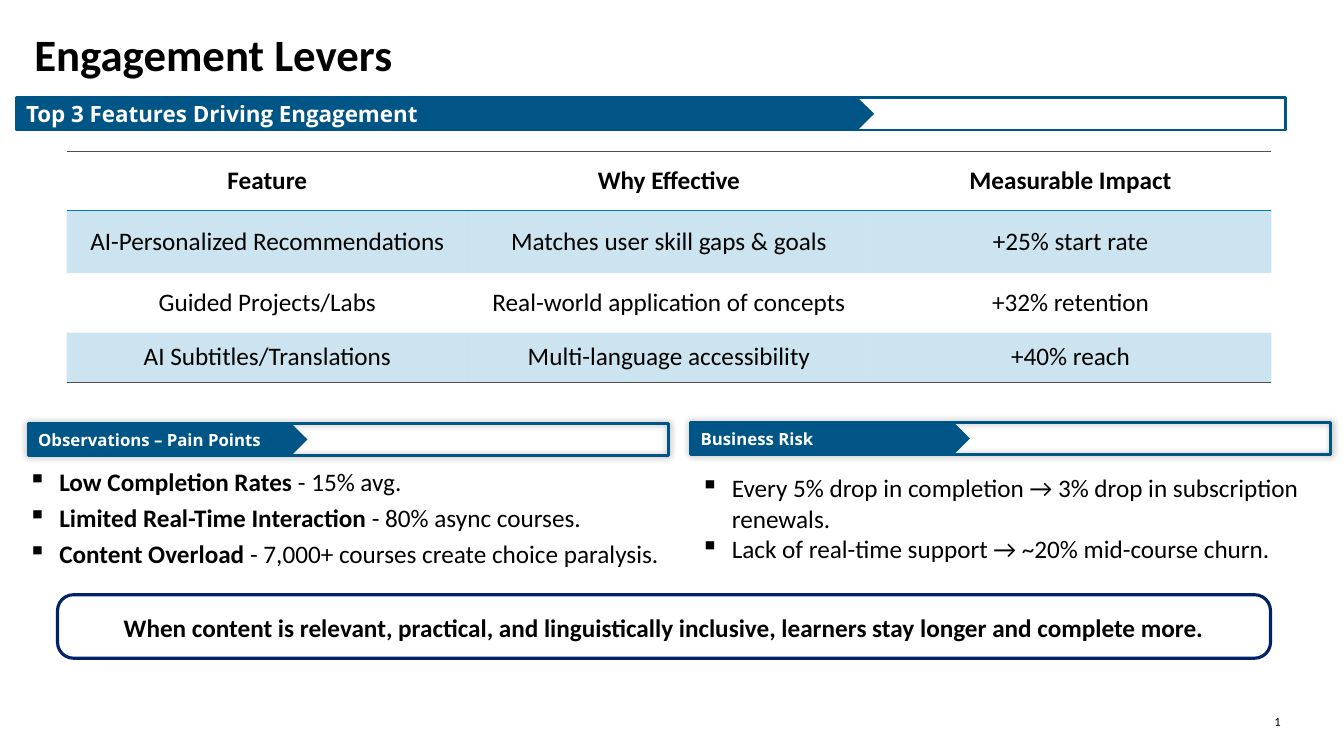
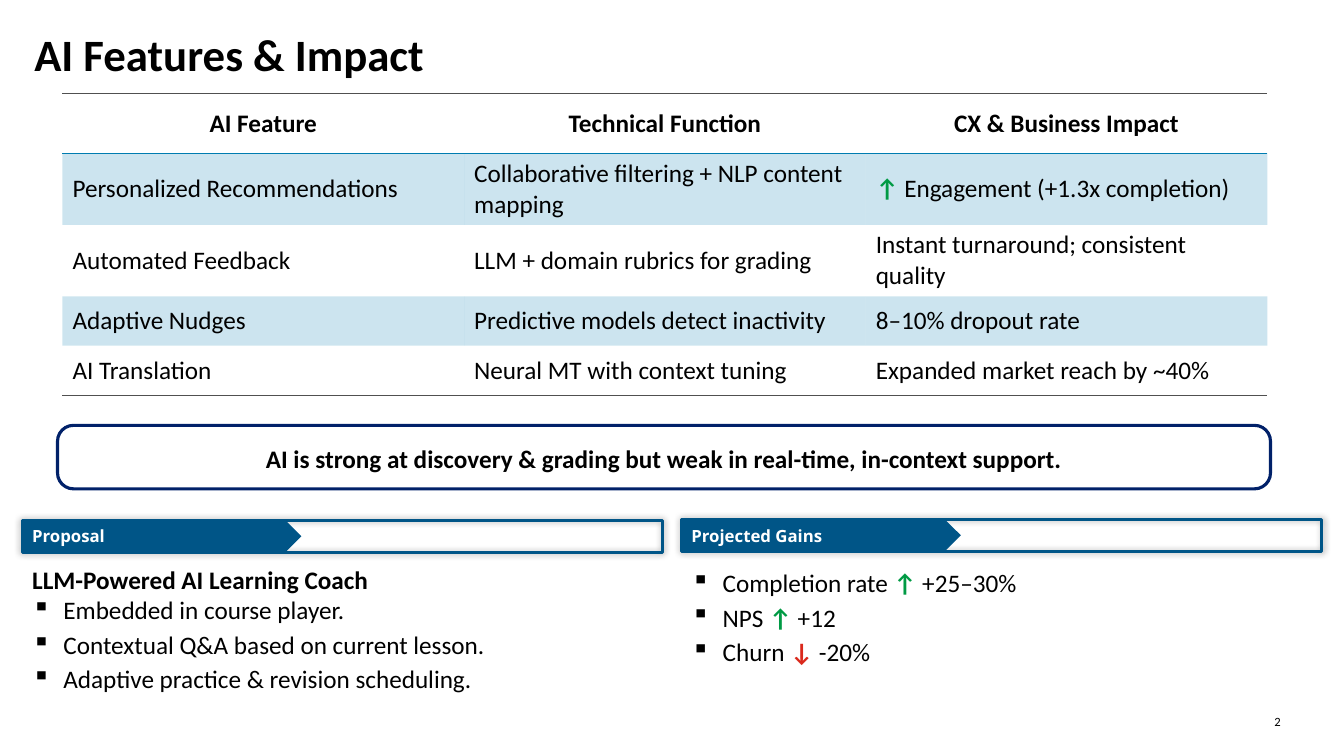
from typing import NamedTuple

from pptx import Presentation
from pptx.dml.color import RGBColor
from pptx.enum.shapes import MSO_SHAPE
from pptx.enum.text import MSO_ANCHOR, MSO_AUTO_SIZE, PP_ALIGN
from pptx.oxml import parse_xml
from pptx.oxml.ns import nsdecls, qn
from pptx.util import Inches, Pt

# Shared look
BLACK = RGBColor(0x00, 0x00, 0x00)
WHITE = RGBColor(0xFF, 0xFF, 0xFF)
BAND_BLUE = RGBColor(0x00, 0x55, 0x87)
TABLE_BLUE = RGBColor(0x00, 0x7C, 0xB0)
RULE_GREY = RGBColor(0x50, 0x50, 0x50)
NAVY = RGBColor(0x01, 0x21, 0x69)
GREEN = RGBColor(0x00, 0x9A, 0x44)
RED = RGBColor(0xDA, 0x29, 0x1C)
BODY_FONT = "Calibri"
BAND_FONT = "Open Sans"
PLAIN_TABLE_STYLE = "{2D5ABB26-0587-4C30-8999-92F81FD0307C}"

SLIDE_WIDTH = Inches(13.33)
SLIDE_HEIGHT = Inches(7.5)

# Shares of the slide's size, in percent
TABLE_WIDTH = 89.65
BAND_HEIGHT = 4.27
HALF_BAND_WIDTH = 47.64
HALF_ARROW_WIDTH = 20.78


def across(percent: float) -> int:
    return round(SLIDE_WIDTH * percent / 100)


def down(percent: float) -> int:
    return round(SLIDE_HEIGHT * percent / 100)


class Box(NamedTuple):
    left: float
    top: float
    width: float
    height: float

    def lengths(self) -> tuple[int, int, int, int]:
        return across(self.left), down(self.top), across(self.width), down(self.height)


class Span(NamedTuple):
    text: str
    bold: bool = False
    color: RGBColor = BLACK


class Line(NamedTuple):
    spans: list[Span]
    bulleted: bool = True


class Band(NamedTuple):
    label: str
    left: float
    top: float
    width: float = HALF_BAND_WIDTH
    arrow_width: float = HALF_ARROW_WIDTH
    size: int = 12
    shadow: bool = True


class Grid(NamedTuple):
    left: float
    top: float
    row_heights: list[float]
    rows: list[list]
    body_alignment: PP_ALIGN


class TextBlock(NamedTuple):
    box: Box
    lines: list[Line]
    space_after: float = 0


class SlideContent(NamedTuple):
    title: str
    number: int
    bands: list[Band]
    grid: Grid
    message: str
    message_top: float
    blocks: list[TextBlock]


UP = Span("↑", True, GREEN)
DOWN = Span("↓", True, RED)


# Text
def set_font(paragraph, size: float, bold: bool | None = None,
             color: RGBColor | None = BLACK, name: str = BODY_FONT) -> None:
    font = paragraph.font
    font.name, font.size, font.bold = name, Pt(size), bold
    if color is not None:
        font.color.rgb = color


def write_spans(paragraph, spans: list[Span], size: float = 18) -> None:
    uniform = len({(span.bold, span.color) for span in spans}) == 1
    if uniform:
        set_font(paragraph, size, spans[0].bold, spans[0].color)
    else:
        set_font(paragraph, size, color=None)
    for span in spans:
        run = paragraph.add_run()
        run.text = span.text
        if not uniform:
            run.font.bold = span.bold
            run.font.color.rgb = span.color


def add_bullet(paragraph) -> None:
    properties = paragraph._p.get_or_add_pPr()
    properties.set("marL", str(Inches(0.31)))
    properties.set("indent", str(-Inches(0.31)))
    properties.append(parse_xml(f'<a:buChar {nsdecls("a")} char="▪"/>'))


def add_text_block(slide, block: TextBlock) -> None:
    frame = slide.shapes.add_textbox(*block.box.lengths()).text_frame
    frame.word_wrap = True
    for index, line in enumerate(block.lines):
        paragraph = frame.add_paragraph() if index else frame.paragraphs[0]
        if line.bulleted:
            paragraph.space_after = Pt(block.space_after)
            add_bullet(paragraph)
        write_spans(paragraph, line.spans)


def clear_margins(frame) -> None:
    frame.margin_left = frame.margin_right = frame.margin_top = frame.margin_bottom = 0


def format_title(slide, text: str) -> None:
    title = slide.shapes.title
    title.left, title.top, title.width, title.height = Box(2.55, 3.47, 86.27, 8.8).lengths()
    frame = title.text_frame
    clear_margins(frame)
    frame.auto_size = MSO_AUTO_SIZE.NONE
    frame.vertical_anchor = MSO_ANCHOR.TOP
    frame.text = text
    paragraph = frame.paragraphs[0]
    paragraph.alignment = PP_ALIGN.LEFT
    set_font(paragraph, 32, True)


def add_slide_number(slide, number: int) -> None:
    frame = slide.shapes.add_textbox(*Box(94.82, 94.4, 1.13, 2).lengths()).text_frame
    clear_margins(frame)
    frame.word_wrap = False
    paragraph = frame.paragraphs[0]
    set_font(paragraph, 9)
    paragraph._p.append(parse_xml(
        f'<a:fld {nsdecls("a")} id="{{B6F15528-21DE-4FAA-801E-634DDDAF4B2B}}" '
        f'type="slidenum"><a:rPr lang="en-US"/><a:t>{number}</a:t></a:fld>'))


# Shapes
def add_band(slide, band: Band) -> None:
    group = slide.shapes.add_group_shape()
    frame_box = Box(band.left, band.top, band.width, BAND_HEIGHT)
    outline = group.shapes.add_shape(MSO_SHAPE.RECTANGLE, *frame_box.lengths())
    outline.fill.background()
    outline.line.color.rgb = BAND_BLUE
    outline.line.width = Pt(2)
    outline.shadow.inherit = False
    if band.shadow:
        effects = outline._element.spPr.find(qn("a:effectLst"))
        effects.append(parse_xml(
            f'<a:outerShdw {nsdecls("a")} blurRad="{Pt(5)}" dist="0" dir="0">'
            '<a:srgbClr val="000000"><a:alpha val="40000"/></a:srgbClr></a:outerShdw>'))

    arrow_box = frame_box._replace(width=band.arrow_width)
    arrow = group.shapes.add_shape(MSO_SHAPE.PENTAGON, *arrow_box.lengths())
    arrow.fill.solid()
    arrow.fill.fore_color.rgb = BAND_BLUE
    arrow.line.fill.background()
    arrow.shadow.inherit = False
    frame = arrow.text_frame
    frame.text = band.label
    frame.vertical_anchor = MSO_ANCHOR.MIDDLE
    frame.paragraphs[0].alignment = PP_ALIGN.LEFT
    set_font(frame.paragraphs[0], band.size, True, WHITE, BAND_FONT)


def add_message(slide, text: str, top: float) -> None:
    box = Box(4.28, top, 90.25, 8.4)
    shape = slide.shapes.add_shape(MSO_SHAPE.ROUNDED_RECTANGLE, *box.lengths())
    shape.adjustments[0] = 0.25
    shape.fill.solid()
    shape.fill.fore_color.rgb = WHITE
    shape.line.color.rgb = NAVY
    shape.line.width = Pt(2.25)
    shape.shadow.inherit = False
    frame = shape.text_frame
    frame.margin_top = frame.margin_bottom = Inches(0.1)
    frame.vertical_anchor = MSO_ANCHOR.MIDDLE
    frame.text = text
    paragraph = frame.paragraphs[0]
    paragraph.alignment = PP_ALIGN.CENTER
    paragraph.line_spacing = 1.06
    set_font(paragraph, 18, True)


# Table
def add_border(cell, side: str, color: RGBColor, width: float) -> None:
    cell._tc.get_or_add_tcPr().append(parse_xml(
        f'<a:{side} {nsdecls("a")} w="{Pt(width)}"><a:solidFill>'
        f'<a:srgbClr val="{color}"/></a:solidFill></a:{side}>'))


def fill_cell(cell, banded: bool) -> None:
    if not banded:
        cell.fill.background()
        return
    cell.fill.solid()
    cell.fill.fore_color.rgb = TABLE_BLUE
    color = cell._tc.tcPr.find(".//" + qn("a:solidFill") + "[last()]/" + qn("a:srgbClr"))
    fill = cell._tc.tcPr.find(qn("a:solidFill"))
    color = fill.find(qn("a:srgbClr"))
    color.append(parse_xml(f'<a:alpha {nsdecls("a")} val="20000"/>'))


def add_grid(slide, grid: Grid) -> None:
    box = Box(grid.left, grid.top, TABLE_WIDTH, sum(grid.row_heights))
    last = len(grid.rows) - 1
    table = slide.shapes.add_table(last + 1, len(grid.rows[0]), *box.lengths()).table
    table.first_row = table.horz_banding = False
    table._tbl.tblPr.find(qn("a:tableStyleId")).text = PLAIN_TABLE_STYLE
    for row_index, values in enumerate(grid.rows):
        header = row_index == 0
        table.rows[row_index].height = down(grid.row_heights[row_index])
        for column_index, value in enumerate(values):
            cell = table.cell(row_index, column_index)
            cell.vertical_anchor = MSO_ANCHOR.MIDDLE
            paragraph = cell.text_frame.paragraphs[0]
            paragraph.alignment = PP_ALIGN.CENTER if header else grid.body_alignment
            write_spans(paragraph, [Span(value, header)] if isinstance(value, str) else value)
            if header:
                add_border(cell, "lnT", RULE_GREY, 0.75)
                add_border(cell, "lnB", TABLE_BLUE, 1)
            elif row_index == last:
                add_border(cell, "lnB", RULE_GREY, 0.75)
            fill_cell(cell, row_index % 2 == 1)


# Content
SLIDES = [
    SlideContent(
        "Engagement Levers", 5,
        [Band("Top 3 Features Driving Engagement", 1.2, 12.93, 94.45, 63.84, 16, False),
         Band("Observations – Pain Points", 2.1, 56),
         Band("Business Risk", 51.39, 55.87)],
        Grid(4.95, 20, [7.87, 8.27, 7.87, 6.53], [
            ["Feature", "Why Effective", "Measurable Impact"],
            ["AI-Personalized Recommendations", "Matches user skill gaps & goals", "+25% start rate"],
            ["Guided Projects/Labs", "Real-world application of concepts", "+32% retention"],
            ["AI Subtitles/Translations", "Multi-language accessibility", "+40% reach"],
        ], PP_ALIGN.CENTER),
        "When content is relevant, practical, and linguistically inclusive, "
        "learners stay longer and complete more.", 78.67,
        [TextBlock(Box(1.35, 61.07, 49.96, 14.93), [
            Line([Span("Low Completion Rates", True), Span(" - 15% avg.")]),
            Line([Span("Limited Real-Time Interaction", True), Span(" - 80% async courses.")]),
            Line([Span("Content Overload", True),
                  Span(" - 7,000+ courses create choice paralysis.")]),
        ], 4),
         TextBlock(Box(51.39, 61.87, 48, 13.47), [
             Line([Span("Every 5% drop in completion → 3% drop in subscription renewals.")]),
             Line([Span("Lack of real-time support → ~20% mid-course churn.")]),
         ])]),
    SlideContent(
        "AI Features & Impact", 6,
        [Band("Proposal", 1.65, 68.8), Band("Projected Gains", 50.71, 68.67)],
        Grid(4.65, 12.4, [7.87, 9.47, 9.47, 6.53, 6.53], [
            ["AI Feature", "Technical Function", "CX & Business Impact"],
            ["Personalized Recommendations", "Collaborative filtering + NLP content mapping",
             [UP, Span(" Engagement (+1.3x completion)")]],
            ["Automated Feedback", "LLM + domain rubrics for grading",
             "Instant turnaround; consistent quality"],
            ["Adaptive Nudges", "Predictive models detect inactivity", "8–10% dropout rate"],
            ["AI Translation", "Neural MT with context tuning", "Expanded market reach by ~40%"],
        ], PP_ALIGN.LEFT),
        "AI is strong at discovery & grading but weak in real-time, in-context support.", 56.27,
        [TextBlock(Box(1.65, 74, 49.06, 18.67), [
            Line([Span("LLM-Powered AI Learning Coach", True)], False),
            Line([Span("Embedded in course player.")]),
            Line([Span("Contextual Q&A based on current lesson.")]),
            Line([Span("Adaptive practice & revision scheduling.")]),
        ], 3),
         TextBlock(Box(50.71, 74.4, 48, 14.53), [
             Line([Span("Completion rate "), UP, Span(" +25–30%")]),
             Line([Span("NPS "), UP, Span(" +12")]),
             Line([Span("Churn "), DOWN, Span(" -20%")]),
         ], 3)]),
]


def main() -> None:
    presentation = Presentation()
    presentation.slide_width, presentation.slide_height = SLIDE_WIDTH, SLIDE_HEIGHT
    title_only = presentation.slide_layouts[5]
    for content in SLIDES:
        slide = presentation.slides.add_slide(title_only)
        format_title(slide, content.title)
        add_slide_number(slide, content.number)
        add_grid(slide, content.grid)
        add_message(slide, content.message, content.message_top)
        for band in content.bands:
            add_band(slide, band)
        for block in content.blocks:
            add_text_block(slide, block)
    presentation.save("out.pptx")


if __name__ == "__main__":
    main()
